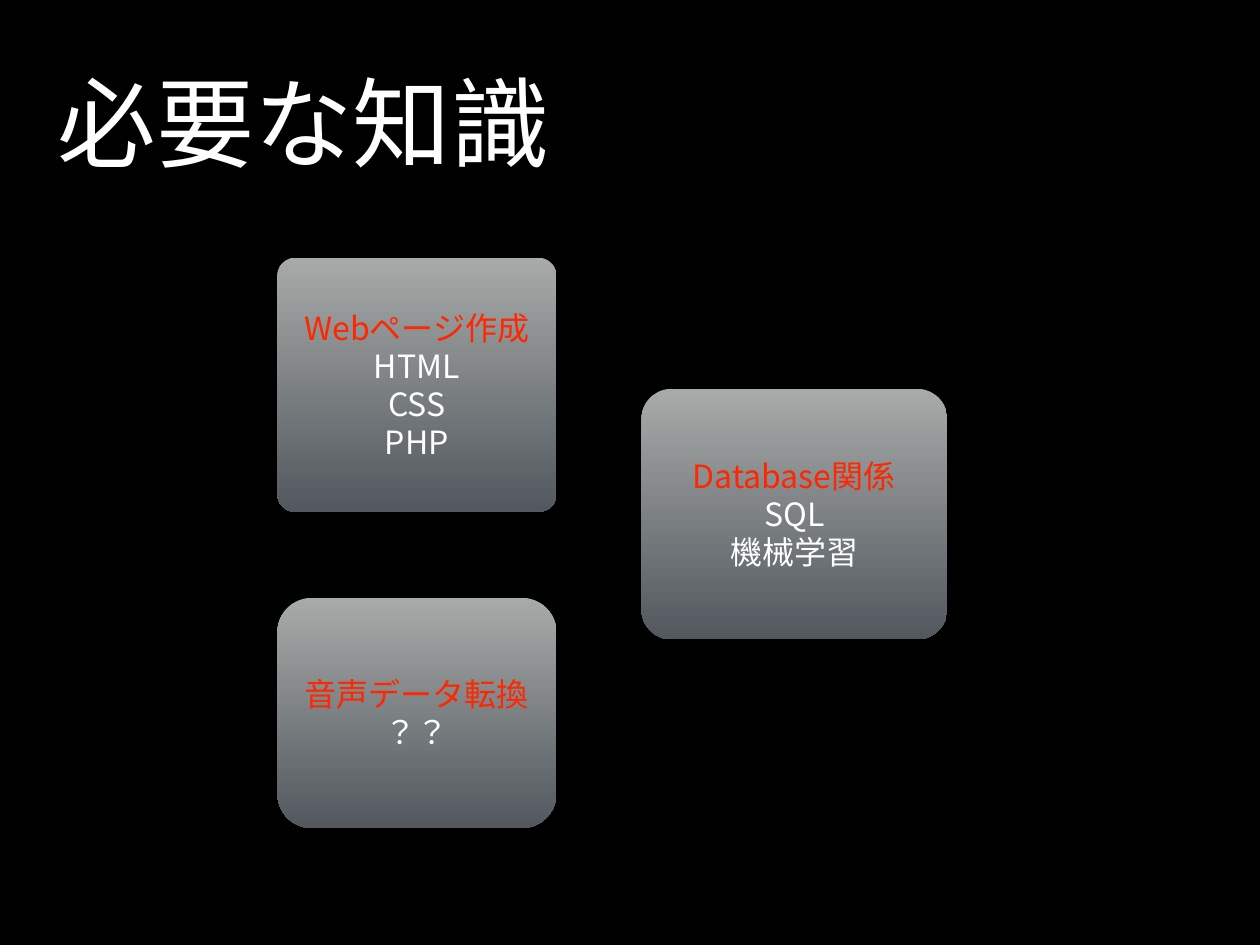
from pptx import Presentation
from pptx.dml.color import RGBColor
from pptx.enum.shapes import MSO_SHAPE
from pptx.enum.text import MSO_ANCHOR, MSO_AUTO_SIZE, PP_ALIGN
from pptx.oxml.ns import qn
from pptx.util import Inches, Pt
from lxml import etree

ROUNDED = MSO_SHAPE.ROUNDED_RECTANGLE
MIDDLE = MSO_ANCHOR.MIDDLE
NO_AUTOFIT = MSO_AUTO_SIZE.NONE
CENTER = PP_ALIGN.CENTER

BLACK = RGBColor(0x00, 0x00, 0x00)
WHITE = RGBColor(0xFF, 0xFF, 0xFF)
RED = RGBColor(0xFF, 0x26, 0x00)
LIGHT_GRAY = RGBColor(0xA6, 0xAA, 0xA8)
DARK_GRAY = RGBColor(0x53, 0x58, 0x5F)

FONT = "Noto Sans CJK JP"
TITLE_ONLY = 5
LEFT_COLUMN = (3.13, 3.15)
RIGHT_COLUMN = (7.24, 3.45)

# Column (left, width), top, height, corner rounding, heading, topics
TOPIC_BOXES = [
    (LEFT_COLUMN, 2.91, 2.87, 0.07, "Webページ作成", ["HTML", "CSS", "PHP"]),
    (RIGHT_COLUMN, 4.39, 2.83, 0.12, "Database関係", ["SQL", "機械学習"]),
    (LEFT_COLUMN, 6.75, 2.6, 0.15, "音声データ転換", ["？？"]),
]


def set_frame(frame):
    frame.word_wrap = True
    frame.auto_size = NO_AUTOFIT
    frame.vertical_anchor = MIDDLE
    frame.margin_left = frame.margin_right = Inches(0.06)
    frame.margin_top = frame.margin_bottom = Inches(0.06)


def write_paragraph(para, text, size, color):
    para.text = text
    para.alignment = CENTER
    para.font.size = Pt(size)
    para.font.color.rgb = color
    para.font.name = FONT
    # Japanese characters take the East Asian typeface
    defaults = para._p.get_or_add_pPr().find(qn("a:defRPr"))
    etree.SubElement(defaults, qn("a:ea"), typeface=FONT)


def place_title(page, text):
    title = page.shapes.title
    title.left, title.top = Inches(-2.29), Inches(-0.44)
    title.width, title.height = Inches(11.44), Inches(3.61)
    set_frame(title.text_frame)
    write_paragraph(title.text_frame.paragraphs[0], text, 80, WHITE)


def fill_gradient(box):
    box.fill.gradient()
    box.fill.gradient_angle = 270
    for stop, color in zip(box.fill.gradient_stops, (LIGHT_GRAY, DARK_GRAY)):
        stop.color.rgb = color


def add_topic_box(page, column, top, height, rounding, heading, topics):
    left, width = column
    box = page.shapes.add_shape(
        ROUNDED, Inches(left), Inches(top), Inches(width), Inches(height))
    box.adjustments[0] = rounding
    box.shadow.inherit = False
    box.line.fill.background()
    fill_gradient(box)

    frame = box.text_frame
    set_frame(frame)
    for index, text in enumerate([heading, *topics]):
        para = frame.add_paragraph() if index else frame.paragraphs[0]
        write_paragraph(para, text, 26, WHITE if index else RED)
        para.line_spacing = Pt(31)


def main():
    deck = Presentation()
    deck.slide_width, deck.slide_height = Inches(14.22), Inches(10.67)
    page = deck.slides.add_slide(deck.slide_layouts[TITLE_ONLY])
    page.background.fill.solid()
    page.background.fill.fore_color.rgb = BLACK

    # Title
    place_title(page, "必要な知識")

    # Knowledge areas
    for topic_box in TOPIC_BOXES:
        add_topic_box(page, *topic_box)

    deck.save("out.pptx")


if __name__ == "__main__":
    main()
